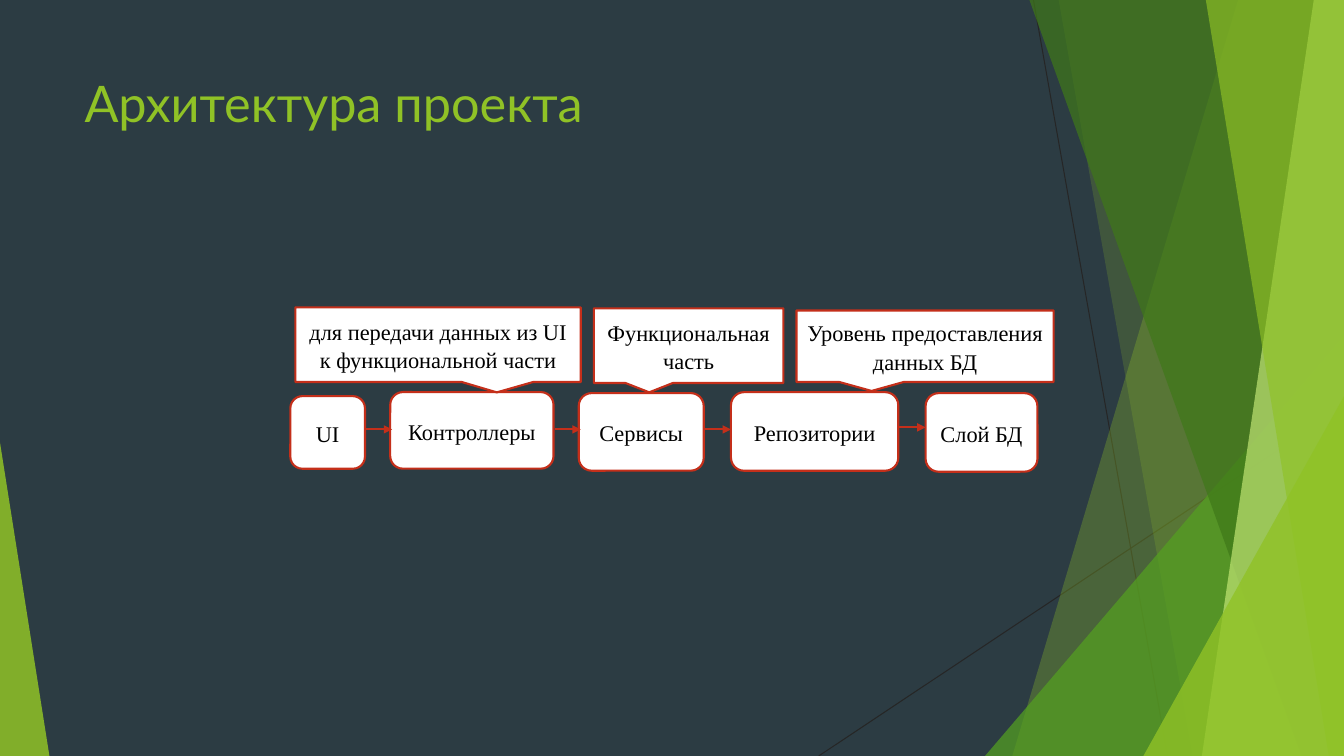
from lxml.etree import SubElement
from pptx import Presentation
from pptx.dml.color import RGBColor as RGB
from pptx.enum.shapes import MSO_CONNECTOR as Link, MSO_SHAPE as Form
from pptx.enum.text import MSO_ANCHOR as Anchor, PP_ALIGN as Align
from pptx.oxml.ns import qn
from pptx.util import Pt

SCALE = 9144  # EMU in one px
WIDE, HIGH = 1333, 750
HUES = {
    "back": "2C3C43", "title": "90C226", "lime": "90C226", "green": "54A021",
    "dark": "3F7819", "pale": "C0E474", "thin": "262626",
    "box": "FFFFFF", "edge": "C42F1A", "text": "000000",
}


def px(*nums):
    return [round(n * SCALE) for n in nums]


def hue(name):
    return RGB.from_string(HUES[name])


def paint(shape, name, alpha=100):
    shape.shadow.inherit = False
    shape.fill.solid()
    shape.fill.fore_color.rgb = hue(name)
    if alpha < 100:
        tint = shape.fill._xPr.find(qn("a:solidFill"))[0]
        SubElement(tint, qn("a:alpha"), val=str(alpha * 1000))


def link(slide, start, end, name, width, arrow=False):
    line = slide.shapes.add_connector(Link.STRAIGHT, *px(*start, *end))
    line.line.color.rgb = hue(name)
    line.line.width = Pt(width)
    if arrow:
        SubElement(line.line._get_or_add_ln(), qn("a:tailEnd"), type="triangle")
    SubElement(line._element.spPr, qn("a:effectLst"))


def add_facets(slide, box):
    left, top, wide, high = box
    right, base = left + wide, top + high

    def band(head, foot, name, alpha):
        pen = slide.shapes.build_freeform(left + head, top, scale=SCALE)
        pen.add_line_segments(
            [(right, top), (right, base), (left + foot, base)], close=True)
        shape = pen.convert_to_shape()
        paint(shape, name, alpha)
        shape.line.fill.background()

    def wedge(x, w, h, tip, name, alpha):
        shape = slide.shapes.add_shape(
            Form.ISOSCELES_TRIANGLE, *px(left + x, base - h, w, h))
        shape.adjustments[0] = tip
        paint(shape, name, alpha)
        shape.line.fill.background()

    # Thin lines
    link(slide, (left + 1025, top), (left + 1158, base), "thin", 0.75)
    link(slide, (right, top + 403), (left + 812, base), "thin", 0.75)

    # Overlapping facets, back to front
    band(1228, 1004, "lime", 30)
    band(1050, 1183, "lime", 20)
    wedge(977, 356, 417, 1, "green", 72)
    band(1021, 1291, "dark", 70)
    band(1303, 1192, "pale", 70)
    band(1196, 1318, "lime", 65)
    wedge(1134, 199, 357, 1, "lime", 80)
    wedge(0, 49, 311, 0, "lime", 85)


def add_title(slide, box):
    frame = slide.shapes.add_textbox(*px(*box)).text_frame
    frame.word_wrap = True
    para = frame.paragraphs[0]
    para.text = "Архитектура проекта"
    para.font.size, para.font.name = Pt(36), "Lato"
    para.font.color.rgb = hue("title")


def add_flow(slide, box):
    left, top = box[:2]

    def block(form, text, x, y, w, h):
        shape = slide.shapes.add_shape(form, *px(left + x, top + y, w, h))
        paint(shape, "box")
        shape.line.color.rgb = hue("edge")
        shape.line.width = Pt(1.5)
        frame = shape.text_frame
        frame.word_wrap = True
        frame.vertical_anchor = Anchor.MIDDLE
        para = frame.paragraphs[0]
        para.text = text
        para.alignment = Align.CENTER
        para.line_spacing, para.space_after = 1.07, Pt(8)
        para.font.size, para.font.name = Pt(16), "Times New Roman"
        para.font.color.rgb = hue("text")
        return shape

    # Layers: text, x, y, width, height
    steps = [
        ("UI", 0, 88, 74, 72),
        ("Контроллеры", 99, 84, 162, 76),
        ("Сервисы", 286, 85, 124, 77),
        ("Репозитории", 437, 84, 166, 78),
        ("Слой БД", 630, 85, 111, 78),
    ]
    for step in steps:
        block(Form.ROUNDED_RECTANGLE, *step)

    # Arrows between neighbours
    for (_, x, _, w, _), y in zip(steps, (121, 121, 121, 119)):
        start = left + x + w + 1
        link(slide, (start, top + y), (start + 26, top + y), "edge", 1.5, True)

    # Callouts: text, x, y, width, height, pointer
    notes = [
        ("для передачи данных из UI к функциональной части",
         5, 0, 283, 74, (0.206, 0.639)),
        ("Функциональная часть", 301, 1, 188, 74, (-0.208, 0.625)),
        ("Уровень предоставления данных БД",
         502, 3, 255, 71, (-0.208, 0.625)),
    ]
    for *spot, tip in notes:
        shape = block(Form.RECTANGULAR_CALLOUT, *spot)
        shape.adjustments[0], shape.adjustments[1] = tip


def main():
    deck = Presentation()
    deck.slide_width, deck.slide_height = px(WIDE, HIGH)
    slide = deck.slides.add_slide(deck.slide_layouts[6])
    slide.background.fill.solid()
    slide.background.fill.fore_color.rgb = hue("back")
    add_facets(slide, (0, 0, WIDE, HIGH))
    add_title(slide, (74, 67, 940, 144))
    add_flow(slide, (288, 305, 757, 163))
    deck.save("out.pptx")


if __name__ == "__main__":
    main()
